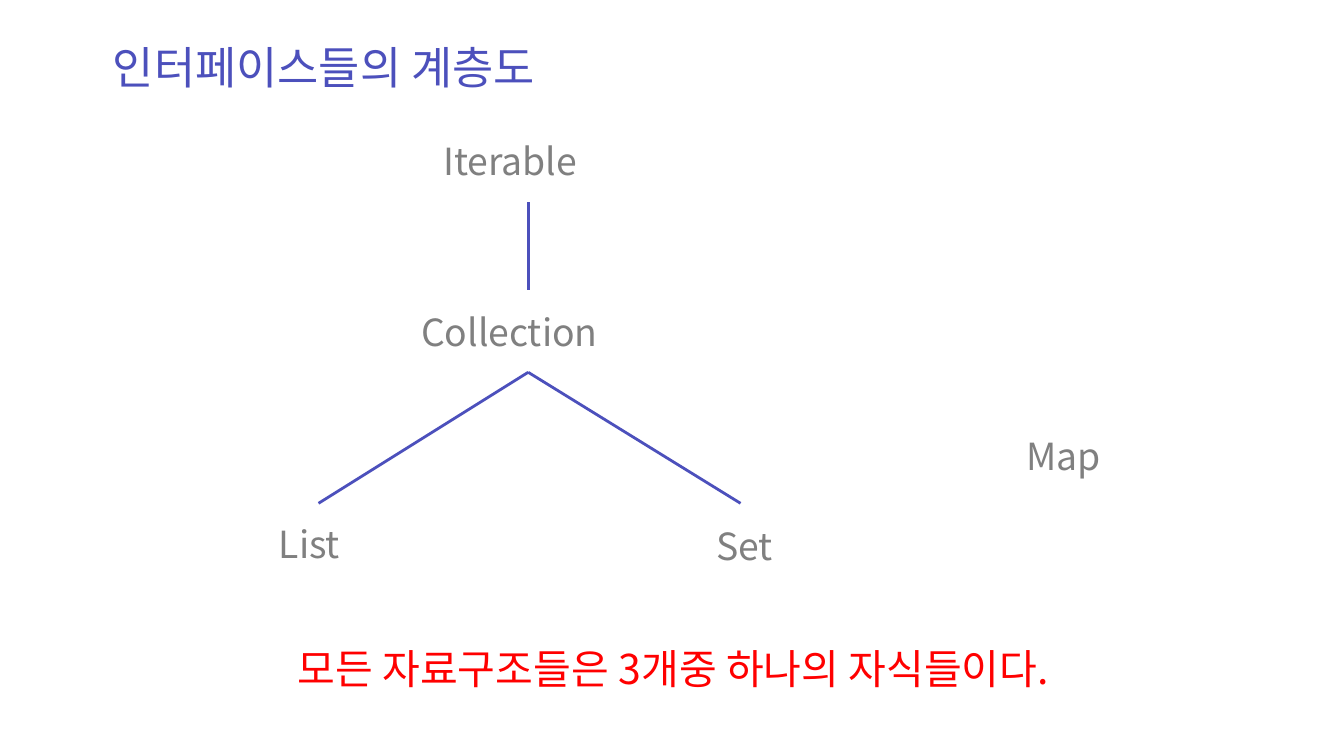
from dataclasses import dataclass

from pptx import Presentation
from pptx.dml.color import RGBColor
from pptx.enum.shapes import MSO_CONNECTOR
from pptx.enum.text import MSO_ANCHOR, MSO_AUTO_SIZE, PP_ALIGN
from pptx.oxml.ns import qn
from pptx.util import Inches, Pt


@dataclass(frozen=True)
class Theme:
    font: str = "Noto Sans CJK KR"
    blue: RGBColor = RGBColor(0x4C, 0x50, 0xBC)
    gray: RGBColor = RGBColor(0x80, 0x80, 0x80)
    red: RGBColor = RGBColor(0xFF, 0x00, 0x00)
    head: int = 48
    node: int = 40
    note: int = 44
    line: int = 3


THEME = Theme()


def write(shape, text, size, color):
    frame = shape.text_frame
    frame.text = text
    frame.word_wrap = True
    frame.auto_size = MSO_AUTO_SIZE.NONE
    frame.vertical_anchor = MSO_ANCHOR.MIDDLE
    frame.margin_top = frame.margin_bottom = 0
    para = frame.paragraphs[0]
    para.alignment = PP_ALIGN.LEFT
    font = para.runs[0].font
    font.size = Pt(size)
    font.name = THEME.font
    font.color.rgb = color
    asian = font._element.makeelement(qn("a:ea"), {"typeface": THEME.font})
    font._element.find(qn("a:latin")).addnext(asian)


def add_title(slide, box, text):
    title = slide.shapes.title
    title.left, title.top, title.width, title.height = map(Inches, box)
    write(title, text, THEME.head, THEME.blue)


def add_text(slide, box, text, size, color):
    write(slide.shapes.add_textbox(*map(Inches, box)), text, size, color)


def add_link(slide, start, end):
    link = slide.shapes.add_connector(
        MSO_CONNECTOR.STRAIGHT, *map(Inches, start + end))
    link.line.color.rgb = THEME.blue
    link.line.width = Pt(THEME.line)
    props = link._element.spPr
    props.append(props.makeelement(qn("a:effectLst"), {}))


def add_tree(slide, box):
    left, top, width, height = box
    axis = left + 3.81
    fork = top + 3.53
    leaf = top + 5.48
    links = [
        ((axis, top + 1), (axis, top + 2.31)),
        ((axis, fork), (left + 0.69, leaf)),
        ((axis, fork), (left + 6.97, leaf)),
    ]
    for start, end in links:
        add_link(slide, start, end)

    row = 0.77
    nodes = [
        ("Iterable", 2.45, 0, 2.83),
        ("Collection", 2.12, 2.54, 3.34),
        ("List", 0, height - row - 0.02, 1.92),
        ("Set", 6.51, height - row, 1.62),
        ("Map", width - 1.65, 4.38, 1.65),
    ]
    for name, x, y, wide in nodes:
        add_text(slide, (left + x, top + y, wide, row), name,
                 THEME.node, THEME.gray)


def main():
    deck = Presentation()
    deck.slide_width = Inches(20)
    deck.slide_height = Inches(11.25)
    slide = deck.slides.add_slide(deck.slide_layouts[5])
    add_title(slide, (1.58, 0.54, 7.17, 0.91), "인터페이스들의 계층도")
    add_tree(slide, (4.05, 2.01, 12.77, 6.49))
    add_text(slide, (4.33, 9.52, 13.39, 0.84),
             "모든 자료구조들은 3개중 하나의 자식들이다.",
             THEME.note, THEME.red)
    deck.save("out.pptx")


if __name__ == "__main__":
    main()
